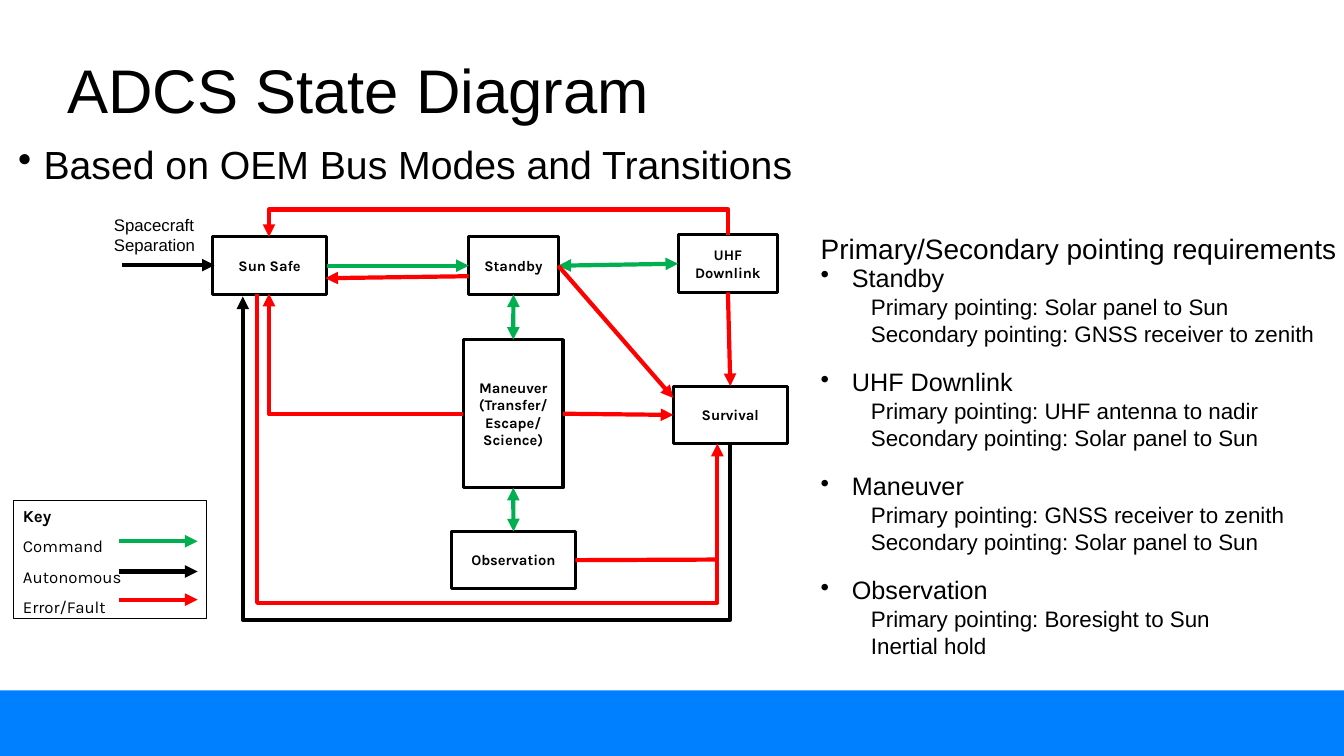
"""Build the ADCS state diagram slide."""
from lxml import etree
from pptx import Presentation
from pptx.dml.color import RGBColor
from pptx.enum import shapes, text
from pptx.oxml import ns
from pptx.util import Cm, Pt

COLORS = {"black": "000000", "white": "FFFFFF", "blue": "007FFF",
          "green": "00B050", "red": "FF0000"}
RECT = shapes.MSO_SHAPE.RECTANGLE
LEFT, CENTER = text.PP_ALIGN.LEFT, text.PP_ALIGN.CENTER


def write(tf, words, size=12, font="Arial", bold=False, align=LEFT,
          spacing=1.0, before=0, bullet=False, margin=0, level=0):
    p = tf.paragraphs[0] if not tf.paragraphs[0].runs else tf.add_paragraph()
    pPr = p._p.get_or_add_pPr()
    pPr.set("marL", str(Cm(margin)))
    pPr.set("indent", str(-Cm(margin) if bullet else 0))
    if bullet:
        etree.SubElement(pPr, ns.qn("a:buChar")).set("char", "•")
    p.level, p.alignment = level, align
    p.line_spacing, p.space_before = spacing, Pt(before)
    r = p.add_run()
    r.text = words
    r.font.name, r.font.size, r.font.bold = font, Pt(size), bold
    r.font.color.rgb = RGBColor.from_string(COLORS["black"])


def style_line(sp, color, width=3, heads=()):
    sp.line.color.rgb = RGBColor.from_string(COLORS[color])
    sp.line.width = Pt(width)
    for end in heads:
        etree.SubElement(sp.line._get_or_add_ln(), ns.qn(f"a:{end}")).set("type", "triangle")
    if not sp._element.spPr.findall(ns.qn("a:effectLst")):
        etree.SubElement(sp._element.spPr, ns.qn("a:effectLst"))


prs = Presentation()
prs.slide_width, prs.slide_height = Cm(33.87), Cm(19.05)
s = prs.slides.add_slide(prs.slide_layouts[5])

bar = s.shapes.add_shape(RECT, 0, Cm(17.4), prs.slide_width, Cm(1.65))
bar.shadow.inherit = False
bar.fill.solid()
bar.fill.fore_color.rgb = RGBColor.from_string(COLORS["blue"])
bar.line.fill.background()

title = s.shapes.title
title.left, title.top, title.width, title.height = Cm(1.7), Cm(0.76), Cm(30.48), Cm(3.18)
subtitle = s.shapes.add_textbox(Cm(0.46), Cm(3.66), Cm(30.48), Cm(1.2))
panel = s.shapes.add_textbox(Cm(20.68), Cm(5.94), Cm(13.1), Cm(10.9))
for sp in (title, subtitle, panel):
    tf = sp.text_frame
    tf.word_wrap, tf.auto_size = True, text.MSO_AUTO_SIZE.NONE
    tf.margin_left = tf.margin_right = tf.margin_top = tf.margin_bottom = 0
title.text_frame.vertical_anchor = text.MSO_ANCHOR.MIDDLE
write(title.text_frame, "ADCS State Diagram", size=44, spacing=0.9)
write(subtitle.text_frame, "Based on OEM Bus Modes and Transitions", size=28,
      spacing=0.9, bullet=True, margin=0.64)

requirements = {
    "Standby": ("Primary pointing: Solar panel to Sun",
                "Secondary pointing: GNSS receiver to zenith"),
    "UHF Downlink": ("Primary pointing: UHF antenna to nadir",
                     "Secondary pointing: Solar panel to Sun"),
    "Maneuver": ("Primary pointing: GNSS receiver to zenith",
                 "Secondary pointing: Solar panel to Sun"),
    "Observation": ("Primary pointing: Boresight to Sun", "Inertial hold"),
}
write(panel.text_frame, "Primary/Secondary pointing requirements", size=20, spacing=0.9)
for i, (mode, lines) in enumerate(requirements.items()):
    write(panel.text_frame, mode, size=18, spacing=0.9, before=16.5 if i else 0,
          bullet=True, margin=0.79)
    for line in lines:
        write(panel.text_frame, line, size=16, margin=1.27, level=1)

key = s.shapes.add_shape(RECT, Cm(0.33), Cm(12.62), Cm(4.88), Cm(2.97))
key.fill.background()
style_line(key, "black", width=0.75)
key.text_frame.vertical_anchor = text.MSO_ANCHOR.TOP
write(key.text_frame, "Key", font="Karla", bold=True)
for label in ("Command", "Autonomous", "Error/Fault"):
    write(key.text_frame, label, font="Karla", spacing=1.5)

states = {
    "Sun Safe": (5.36, 5.97, 2.87, 1.45),
    "Standby": (11.81, 5.97, 2.26, 1.45),
    "UHF Downlink": (17.09, 5.92, 2.51, 1.45),
    "Survival": (16.97, 9.73, 2.87, 1.45),
    "Maneuver\n(Transfer/\nEscape/\nScience)": (11.68, 8.56, 2.51, 3.73),
    "Observation": (11.38, 13.39, 3.12, 1.45),
}
boxes = {}
for label, place in states.items():
    sp = s.shapes.add_shape(RECT, *map(Cm, place))
    sp.fill.solid()
    sp.fill.fore_color.rgb = RGBColor.from_string(COLORS["white"])
    style_line(sp, "black", width=2.25)
    sp.text_frame.vertical_anchor = text.MSO_ANCHOR.MIDDLE
    for line in label.split("\n"):
        write(sp.text_frame, line, size=10.5, font="Karla", bold=True, align=CENTER)
    boxes[label.split("\n")[0]] = sp

separation = s.shapes.add_textbox(Cm(2.62), Cm(5.28), Cm(2.67), Cm(1.27))
separation.text_frame.word_wrap = True
write(separation.text_frame, "Spacecraft Separation")

TO, BOTH = ("tailEnd",), ("headEnd", "tailEnd")
arrows = [
    (("UHF Downlink", 1), ("Standby", 3), "green", BOTH),
    (("Observation", 0), ("Maneuver", 2), "green", BOTH),
    (("Maneuver", 0), ("Standby", 2), "green", BOTH),
    (("Sun Safe", 3), ("Standby", 1), "green", TO),
    (("UHF Downlink", 2), ("Survival", 0), "red", TO),
    (("Maneuver", 3), ("Survival", 1), "red", TO),
    (("Standby", 3), (16.97, 10.03), "red", TO),
    (("Observation", 3), (18.08, 14.1), "red", ()),
    ((11.81, 6.96), (8.2, 7.01), "red", TO),
    ((3.07, 6.68), (5.41, 6.68), "black", TO),
    ((3, 13.64), (4.98, 13.64), "green", TO),
    ((3, 14.4), (4.98, 14.4), "black", TO),
    ((3, 15.11), (4.98, 15.11), "red", TO),
]
for start, end, color, heads in arrows:
    points = [Cm(0) if isinstance(v, str) else Cm(v) for v in (*start, *end)]
    sp = s.shapes.add_connector(shapes.MSO_CONNECTOR.STRAIGHT, *points)
    for (name, side), join in ((start, sp.begin_connect), (end, sp.end_connect)):
        if name in boxes:
            join(boxes[name], side)
    style_line(sp, color, heads=heads)

routes = [
    ("red", [(11.68, 10.44), (6.78, 10.44), (6.78, 7.4)]),
    ("red", [(18.35, 5.92), (18.35, 5.28), (6.78, 5.28), (6.78, 5.97)]),
    ("black", [(18.4, 11.18), (18.4, 15.62), (6.12, 15.62), (6.12, 7.47)]),
    ("red", [(6.48, 7.4), (6.48, 15.19), (18.08, 15.19), (18.08, 11.18)]),
]
for color, corners in routes:
    points = [(Cm(x), Cm(y)) for x, y in corners]
    route = s.shapes.build_freeform(*points[0])
    route.add_line_segments(points[1:], close=False)
    sp = route.convert_to_shape()
    sp.fill.background()
    style_line(sp, color, heads=TO)

prs.save("out.pptx")
